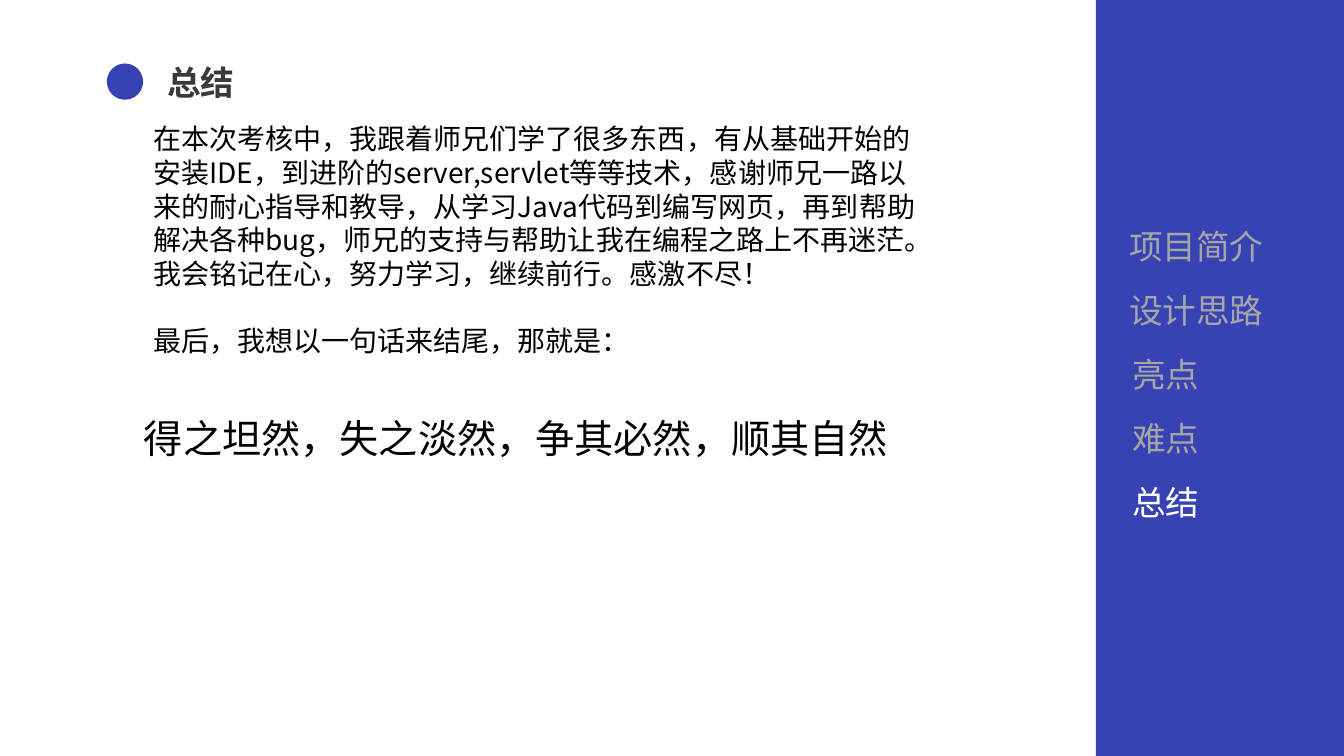
from pptx import Presentation
from pptx.dml.color import RGBColor
from pptx.enum.shapes import MSO_SHAPE
from pptx.enum.text import MSO_ANCHOR, PP_ALIGN
from pptx.oxml.ns import qn
from pptx.util import Inches, Pt

FONT = "Noto Sans CJK SC"
BLUE, DARK, GREY, WHITE, BLACK = "3843B3", "3B3838", "A6A6A6", "FFFFFF", "000000"
TOPICS = ["项目简介", "设计思路", "亮点", "难点", "总结"]
THANKS = (
    "在本次考核中，我跟着师兄们学了很多东西，有从基础开始的安装IDE，"
    "到进阶的server,servlet等等技术，感谢师兄一路以来的耐心指导和教导，"
    "从学习Java代码到编写网页，再到帮助解决各种bug，"
    "师兄的支持与帮助让我在编程之路上不再迷茫。"
    "我会铭记在心，努力学习，继续前行。感激不尽！"
)
CLOSING = "最后，我想以一句话来结尾，那就是："
MOTTO = "得之坦然，失之淡然，争其必然，顺其自然"


def color(text):
    return RGBColor.from_string(text)


def place(shape, box):
    shape.left, shape.top, shape.width, shape.height = map(Inches, box)


def write(shape, lines, size, ink, bold=False, gap=0):
    """Fill the shape with one paragraph per line, gap points apart."""
    frame = shape.text_frame
    frame.word_wrap = True
    frame.vertical_anchor = MSO_ANCHOR.TOP
    for i, line in enumerate(lines):
        para = frame.add_paragraph() if i else frame.paragraphs[0]
        para.alignment = PP_ALIGN.LEFT
        para.space_before = Pt(gap if i else 0)
        run = para.add_run()
        run.text = line
        font = run.font
        font.name, font.size, font.bold = FONT, Pt(size), bold
        font.color.rgb = color(ink)
        east = font._element.makeelement(qn("a:ea"), {"typeface": FONT})
        font._element.find(qn("a:latin")).addnext(east)


def add_text(slide, box, lines, size, ink, gap=0):
    write(slide.shapes.add_textbox(*map(Inches, box)), lines, size, ink, gap=gap)


def add_fill(slide, kind, box):
    shape = slide.shapes.add_shape(kind, *map(Inches, box))
    shape.shadow.inherit = False
    shape.fill.solid()
    shape.fill.fore_color.rgb = color(BLUE)
    shape.line.fill.background()


def add_menu(slide, topics, current):
    for i, topic in enumerate(topics):
        left = 11.1 if len(topic) > 2 else 11.13
        ink = WHITE if topic == current else GREY
        add_text(slide, (left, 2.19 + i * 0.635, 1.95, 0.5), [topic], 24, ink)


def main():
    deck = Presentation()
    deck.slide_width, deck.slide_height = Inches(13.33), Inches(7.5)
    slide = deck.slides.add_slide(deck.slide_layouts[5])
    add_fill(slide, MSO_SHAPE.RECTANGLE, (10.87, 0, 2.46, 7.5))
    title = slide.shapes.title
    place(title, (1.56, 0.56, 2.91, 0.5))
    write(title, ["总结"], 24, DARK, bold=True)
    add_fill(slide, MSO_SHAPE.OVAL, (1.06, 0.63, 0.36, 0.36))
    add_menu(slide, TOPICS, "总结")
    add_text(slide, (1.42, 1.16, 7.77, 2.49), [THANKS, CLOSING], 20, BLACK, gap=24)
    add_text(slide, (1.33, 4.06, 7.86, 0.82), [MOTTO], 28, BLACK)
    deck.save("out.pptx")


if __name__ == "__main__":
    main()
